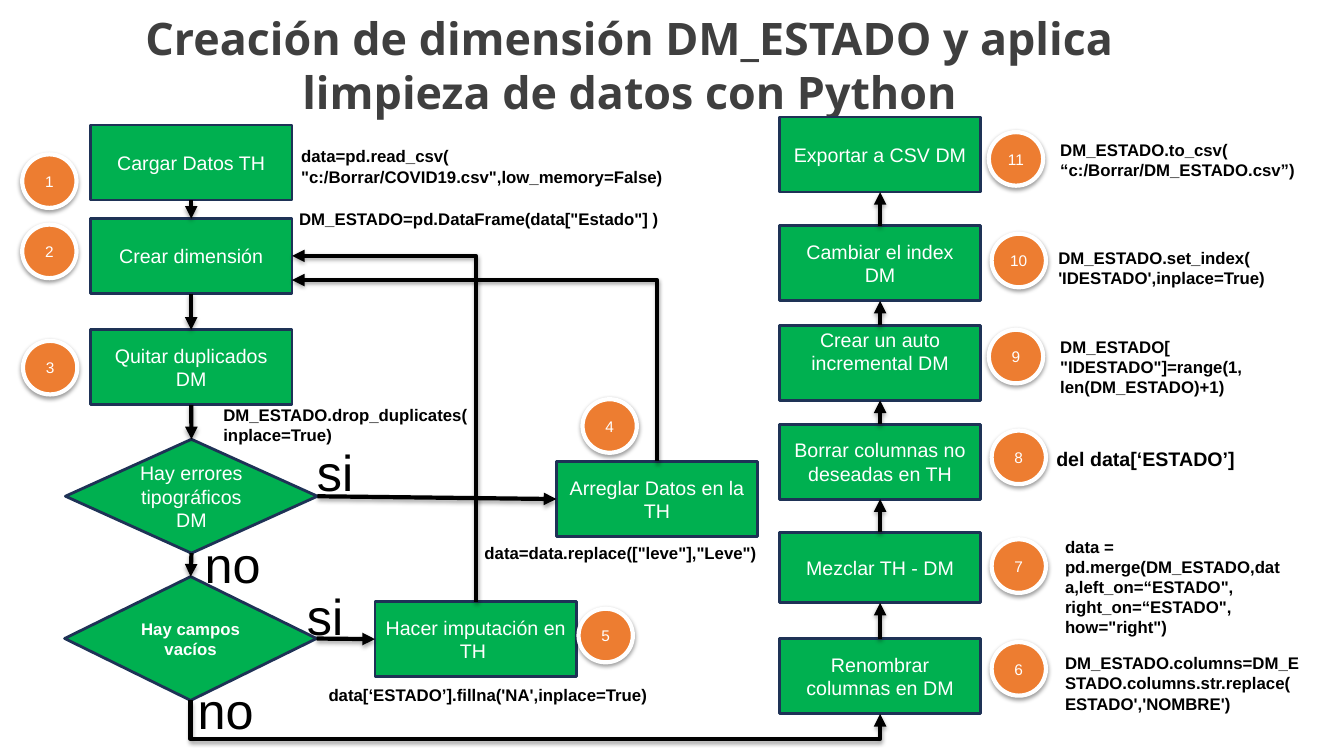
import pptx
import pptx.dml.color
import pptx.enum.shapes
import pptx.enum.text
import pptx.oxml
import pptx.oxml.ns
import pptx.util

Cm = pptx.util.Cm
Pt = pptx.util.Pt
SHAPE = pptx.enum.shapes.MSO_SHAPE
CONNECTOR = pptx.enum.shapes.MSO_CONNECTOR
ALIGN = pptx.enum.text.PP_ALIGN
ANCHOR = pptx.enum.text.MSO_ANCHOR
AUTO_SIZE = pptx.enum.text.MSO_AUTO_SIZE
qn = pptx.oxml.ns.qn
NS = pptx.oxml.ns.nsdecls("a")
TOP, LEFT, BOTTOM, RIGHT = range(4)


def rgb(value):
    return pptx.dml.color.RGBColor.from_string(value)


class Flowchart:
    green, navy, orange = "00B050", "1E3256", "ED7D31"
    white, black, grey = "FFFFFF", "000000", "3F3F3F"
    box_w, box_h = 5.08, 1.89

    def __init__(self, slide):
        self.s = slide

    def fill_text(self, tf, text, size, color, bold=False, align=ALIGN.CENTER, font="Arial"):
        tf.text = text
        for p in tf.paragraphs:
            p.alignment = align
            p.font.name, p.font.size, p.font.bold = font, Pt(size), bold
            p.font.color.rgb = rgb(color)

    def shadow(self, sp, alpha, dist):
        spPr = sp._element.spPr
        for old in spPr.findall(qn("a:effectLst")):
            spPr.remove(old)
        spPr.append(pptx.oxml.parse_xml(
            f'<a:effectLst {NS}><a:outerShdw blurRad="{Pt(3.1)}" dist="{Pt(dist)}" '
            f'dir="5400000" rotWithShape="0"><a:srgbClr val="{self.black}">'
            f'<a:alpha val="{alpha * 1000}"/></a:srgbClr></a:outerShdw></a:effectLst>'))

    def shape(self, kind, x, y, w, h, text, size, fill, line, width, bold=False):
        sp = self.s.shapes.add_shape(kind, Cm(x), Cm(y), Cm(w), Cm(h))
        sp.shadow.inherit = False
        sp.fill.solid()
        sp.fill.fore_color.rgb = rgb(fill)
        sp.line.color.rgb = rgb(line)
        sp.line.width = Pt(width)
        sp.text_frame.word_wrap = True
        sp.text_frame.vertical_anchor = ANCHOR.MIDDLE
        self.fill_text(sp.text_frame, text, size, self.white, bold)
        return sp

    def box(self, x, y, text, h=box_h):
        return self.shape(SHAPE.RECTANGLE, x, y, self.box_w, h, text, 14,
                          self.green, self.navy, 2)

    def decision(self, x, y, h, text, size=14, bold=False):
        return self.shape(SHAPE.DIAMOND, x, y, 6.35, h, text, size,
                          self.green, self.navy, 2, bold)

    def badge(self, x, y, number):
        sp = self.shape(SHAPE.OVAL, x, y, 1.37, 1.35, str(number), 11,
                        self.orange, self.white, 3)
        self.shadow(sp, 38, 1.6)

    def text(self, x, y, w, h, text, size, bold=False, align=ALIGN.LEFT,
             color=black, font="Arial", wrap=True, grow=True):
        tf = self.s.shapes.add_textbox(Cm(x), Cm(y), Cm(w), Cm(h)).text_frame
        tf.word_wrap = wrap
        tf.auto_size = AUTO_SIZE.SHAPE_TO_FIT_TEXT if grow else AUTO_SIZE.NONE
        self.fill_text(tf, text, size, color, bold, align, font)

    def arrow_style(self, cxn):
        cxn.line.color.rgb = rgb(self.black)
        cxn.line.width = Pt(3)
        cxn._element.spPr.find(qn("a:ln")).append(
            pptx.oxml.parse_xml(f'<a:tailEnd {NS} type="triangle"/>'))
        self.shadow(cxn, 35, 1.8)

    def arrow(self, a, a_side, b, b_side):
        cxn = self.s.shapes.add_connector(CONNECTOR.STRAIGHT, 0, 0, 0, 0)
        cxn.begin_connect(a, a_side)
        cxn.end_connect(b, b_side)
        self.arrow_style(cxn)

    def elbow(self, x1, y1, x2, y2, drop=None):
        """Leaves vertically: one bend, or two when it first drops below both ends."""
        w, h = abs(y2 - y1), abs(x2 - x1)
        left, top = (x1 + x2 - w) / 2, (y1 + y2 - h) / 2
        cxn = self.s.shapes.add_connector(
            CONNECTOR.ELBOW, Cm(left), Cm(top), Cm(left + w), Cm(top + h))
        spPr = cxn._element.spPr
        xfrm, geom = spPr.find(qn("a:xfrm")), spPr.find(qn("a:prstGeom"))
        xfrm.set("rot", "16200000")
        xfrm.set("flipV" if drop is None else "flipH", "1")
        if drop is None:
            geom.set("prst", "bentConnector2")
        else:
            guides = geom.find(qn("a:avLst"))
            if guides is None:
                guides = pptx.oxml.parse_xml(f"<a:avLst {NS}/>")
                geom.append(guides)
            guides.append(pptx.oxml.parse_xml(
                f'<a:gd {NS} name="adj1" fmla="val {round(drop / w * 100000)}"/>'))
        self.arrow_style(cxn)


def main():
    prs = pptx.Presentation()
    prs.slide_width, prs.slide_height = Cm(33.87), Cm(19.05)
    chart = Flowchart(prs.slides.add_slide(prs.slide_layouts[6]))

    # Title
    chart.text(1.27, 0.15, 29.21, 3, "Creación de dimensión DM_ESTADO y aplica limpieza "
               "de datos con Python", 32, True, ALIGN.CENTER, chart.grey, "Open Sans",
               grow=False)

    # Left column and its fixes
    load, create, dedupe = [chart.box(2.28, y, text) for y, text in (
        (3.15, "Cargar Datos TH"), (5.51, "Crear dimensión"), (8.31, "Quitar duplicados DM"))]
    typos = chart.decision(1.65, 11.07, 2.87, "Hay errores tipográficos DM")
    blanks = chart.decision(1.63, 14.53, 3.12, "Hay campos vacíos", 12, True)
    fix = chart.box(14.02, 11.63, "Arreglar Datos en la TH")
    impute = chart.box(9.45, 15.16, "Hacer imputación en TH ")

    # Right column, from the bottom up
    right_steps = [chart.box(19.64, y, text, h) for y, h, text in (
        (16.1, 1.89, "Renombrar columnas en DM"),
        (13.41, 1.78, "Mezclar TH - DM"),
        (10.69, 1.89, "Borrar columnas no deseadas en TH"),
        (8.2, 1.89, "Crear un auto incremental DM"),
        (5.69, 1.89, "Cambiar el index DM"),
        (2.95, 1.89, "Exportar a CSV DM"))]
    right_steps[3].text_frame.margin_bottom = Cm(0.72)

    # Arrows
    left_steps = [load, create, dedupe, typos, blanks]
    for a, b in zip(left_steps, left_steps[1:]):
        chart.arrow(a, BOTTOM, b, TOP)
    for a, b in zip(right_steps, right_steps[1:]):
        chart.arrow(a, TOP, b, BOTTOM)
    chart.arrow(typos, RIGHT, fix, LEFT)
    chart.arrow(blanks, RIGHT, impute, LEFT)
    chart.elbow(16.56, 11.63, 7.36, 7.06)
    chart.elbow(11.99, 15.16, 7.36, 6.45)
    chart.elbow(4.8, 17.65, 22.18, 17.99, drop=0.97)

    # Answers
    for x, y, w, answer in ((7.72, 11, 1.45, "si"), (4.9, 13.31, 1.93, "no"),
                            (4.72, 16.99, 1.93, "no"), (7.47, 14.63, 1.45, "si")):
        chart.text(x, y, w, 1.8, answer, 36, align=ALIGN.CENTER, wrap=False)

    # Step numbers
    badges = ((0.56, 3.89), (0.56, 5.66), (0.58, 8.59), (14.68, 10.06), (14.58, 15.34),
              (24.99, 16.18), (24.99, 13.59), (24.99, 10.85), (24.92, 8.31),
              (24.99, 5.89), (24.92, 3.33))
    for number, (x, y) in enumerate(badges, 1):
        chart.badge(x, y, number)

    # Code for each step: left, top, width, lines shown
    for x, y, w, lines, code in (
            (7.34, 3.56, 10.06, 2,
             'data=pd.read_csv(\n"c:/Borrar/COVID19.csv",low_memory=False)'),
            (7.29, 5.13, 16.92, 1, 'DM_ESTADO=pd.DataFrame(data["Estado"] )'),
            (5.38, 10.08, 7.39, 2, "DM_ESTADO.drop_duplicates(\ninplace=True)"),
            (11.96, 13.56, 16.92, 1, 'data=data.replace(["leve"],"Leve")'),
            (8.03, 17.12, 9.37, 1, "data[‘ESTADO’].fillna('NA',inplace=True)"),
            (26.59, 16.33, 6.43, 3,
             "DM_ESTADO.columns=DM_ESTADO.columns.str.replace(ESTADO','NOMBRE')"),
            (26.59, 13.39, 6.05, 5, 'data = pd.merge(DM_ESTADO,data,left_on=“ESTADO",\n'
             'right_on=“ESTADO",\nhow="right")'),
            (26.47, 8.36, 6.05, 3,
             'DM_ESTADO[\n"IDESTADO"]=range(1,\nlen(DM_ESTADO)+1)'),
            (26.42, 6.12, 5.82, 2, "DM_ESTADO.set_index(\n'IDESTADO',inplace=True)"),
            (26.47, 3.4, 6.96, 2, "DM_ESTADO.to_csv(\n“c:/Borrar/DM_ESTADO.csv”)")):
        chart.text(x, y, w, 0.25 + 0.51 * lines, code, 12, True)
    chart.text(26.37, 11.13, 6.93, 0.86, "del data[‘ESTADO’]", 14, True)

    prs.save("out.pptx")


if __name__ == "__main__":
    main()
